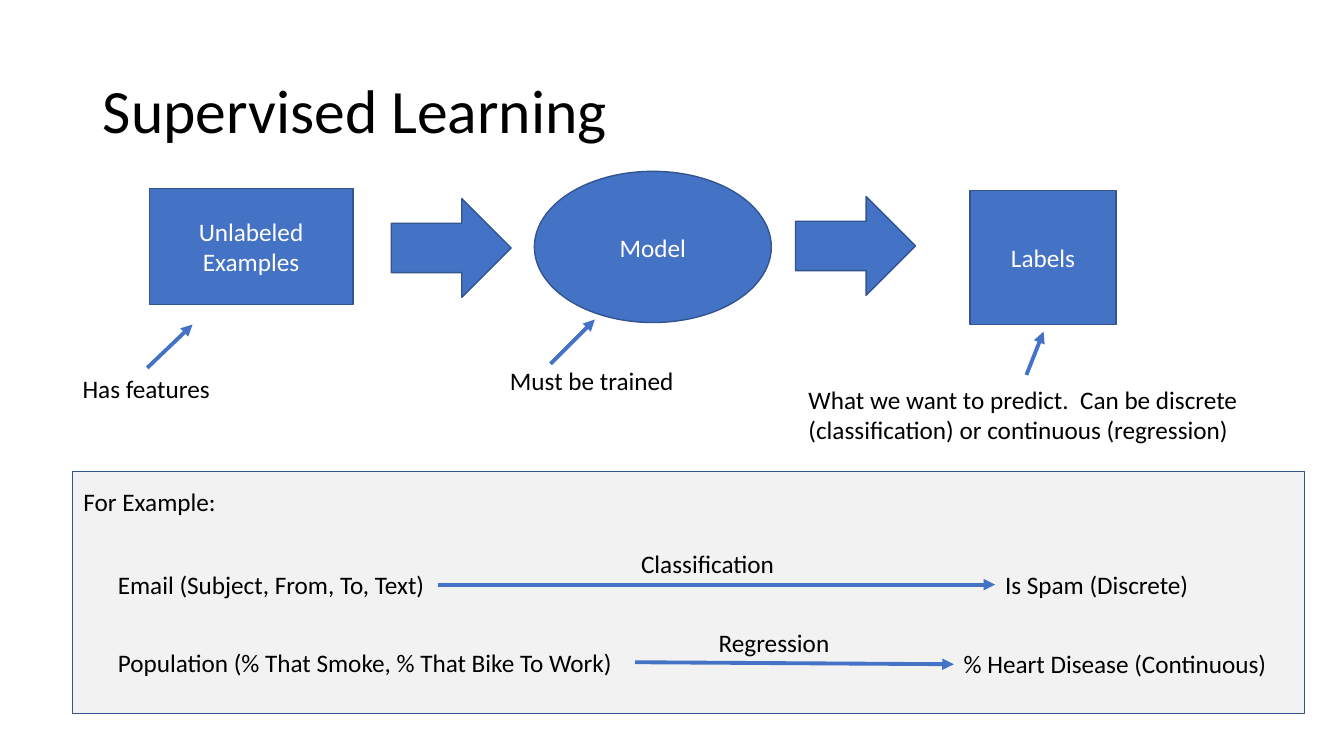
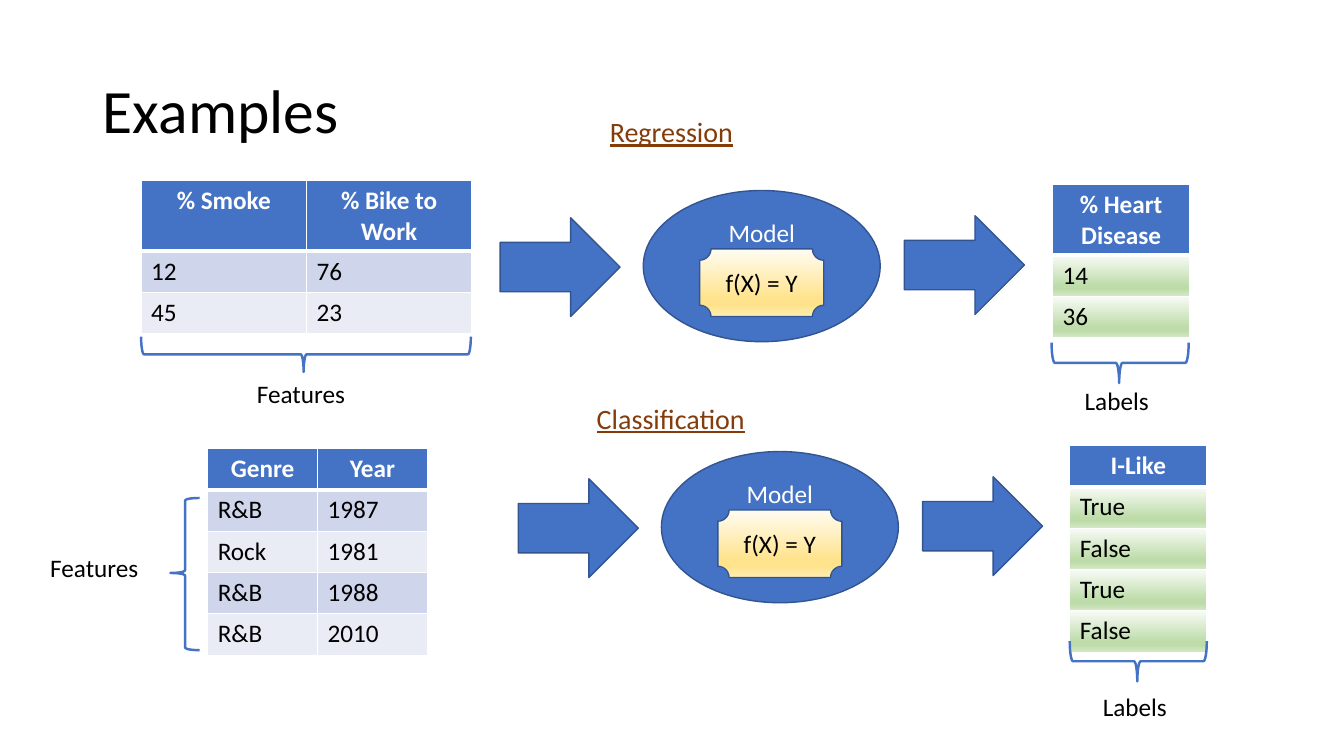
from lxml.etree import SubElement
from pptx import Presentation
from pptx.dml.color import RGBColor
from pptx.enum.shapes import MSO_CONNECTOR, MSO_SHAPE
from pptx.enum.text import MSO_ANCHOR, MSO_AUTO_SIZE, PP_ALIGN
from pptx.oxml.ns import qn
from pptx.util import Inches, Pt

BLUE = RGBColor(0x44, 0x72, 0xC4)
NAVY = RGBColor(0x32, 0x54, 0x91)
BROWN = RGBColor(0x84, 0x3C, 0x0B)
BLACK = RGBColor(0, 0, 0)
WHITE = RGBColor(0xFF, 0xFF, 0xFF)
PANEL = RGBColor(0xF2, 0xF2, 0xF2)
BANDS = (RGBColor(0xCF, 0xD5, 0xEA), RGBColor(0xE9, 0xEB, 0xF5))
STOPS = (0, 74, 83, 100)
GREEN = [RGBColor.from_string(code) for code in ("F8FBF6", "BEDCAA", "BEDCAA", "D4E8C6")]
GOLD = [RGBColor.from_string(code) for code in ("FFFCF2", "FFE38C", "FFE38C", "FFECB2")]

BODY = {"name": "Calibri", "size": Pt(18), "bold": False}
TITLE = {**BODY, "size": Pt(44)}
HEADING = {**BODY, "size": Pt(20), "underline": True}
HEADER = {**BODY, "bold": True}
ROW = 0.41
TALL_ROW = 0.7


def write(frame, text, color=BLACK, style=BODY, align=PP_ALIGN.LEFT):
    """Put one formatted paragraph into a text frame."""
    para = frame.paragraphs[0]
    para.alignment = align
    span = para.add_run()
    span.text = text
    for name, value in style.items():
        setattr(span.font, name, value)
    span.font.color.rgb = color


def paint(fill, element, color):
    """Fill with one colour, or with a top-down gradient for a list of colours."""
    if isinstance(color, RGBColor):
        fill.solid()
        fill.fore_color.rgb = color
        return
    fill.gradient()
    fill.gradient_angle = 270
    stops = next(element.iter(qn("a:gsLst")))
    for stop in list(stops):
        stops.remove(stop)
    for position, shade in zip(STOPS, color):
        stop = SubElement(stops, qn("a:gs"), pos=str(position * 1000))
        SubElement(stop, qn("a:srgbClr"), val=str(shade))


def add_page(deck, title):
    """Add a title-only slide with the shared title style."""
    page = deck.slides.add_slide(deck.slide_layouts[5])
    box = page.shapes.title
    place = {"left": 0.92, "top": 0.4, "width": 11.5, "height": 1.45}
    for name, value in place.items():
        setattr(box, name, Inches(value))
    frame = box.text_frame
    frame.vertical_anchor = MSO_ANCHOR.MIDDLE
    frame.auto_size = MSO_AUTO_SIZE.NONE
    write(frame, title, style=TITLE)
    frame.paragraphs[0].line_spacing = 0.9
    return page


def add_text(page, text, left, top, width, height=0.4, wrap=False, color=BLACK, style=BODY):
    """Add a text box that grows with its text."""
    box = page.shapes.add_textbox(*map(Inches, (left, top, width, height)))
    frame = box.text_frame
    frame.word_wrap = wrap
    frame.auto_size = MSO_AUTO_SIZE.SHAPE_TO_FIT_TEXT
    write(frame, text, color, style)


def add_block(page, kind, left, top, width, height, text="", fill=BLUE,
              color=WHITE, anchor=MSO_ANCHOR.MIDDLE):
    """Add a filled, outlined shape with optional centred text."""
    shape = page.shapes.add_shape(kind, *map(Inches, (left, top, width, height)))
    shape.shadow.inherit = False
    paint(shape.fill, shape.element, fill)
    shape.line.color.rgb = NAVY
    shape.line.width = Pt(1)
    shape.text_frame.vertical_anchor = anchor
    if text:
        write(shape.text_frame, text, color, align=PP_ALIGN.CENTER)


def add_arrow(page, start, end):
    """Draw a straight arrow between two points."""
    points = map(Inches, (*start, *end))
    arrow = page.shapes.add_connector(MSO_CONNECTOR.STRAIGHT, *points)
    arrow.line.color.rgb = BLUE
    arrow.line.width = Pt(2.75)
    SubElement(arrow.line._get_or_add_ln(), qn("a:tailEnd"), type="triangle")
    SubElement(arrow.element.spPr, qn("a:effectLst"))


def add_brace(page, left, top, width, height, rotation=0):
    """Add a brace; a rotation of 270 makes it point down."""
    brace = page.shapes.add_shape(
        MSO_SHAPE.LEFT_BRACE, *map(Inches, (left, top, width, height)))
    brace.rotation = rotation
    brace.shadow.inherit = False
    brace.fill.background()
    brace.line.color.rgb = BLUE
    brace.line.width = Pt(1.75)
    brace.adjustments[0] = 0.083
    brace.adjustments[1] = 0.493


def add_borders(cell, bottom):
    """Give a cell white borders, with its own bottom width in points."""
    properties = cell._tc.get_or_add_tcPr()
    for index, (side, points) in enumerate(
            (("lnL", 1), ("lnR", 1), ("lnT", 1), ("lnB", bottom))):
        line = SubElement(properties, qn(f"a:{side}"), w=str(Pt(points)))
        fill = SubElement(line, qn("a:solidFill"))
        SubElement(fill, qn("a:srgbClr"), val=str(WHITE))
        properties.insert(index, line)


def add_grid(page, rows, left, top, column, header=ROW, bands=BANDS):
    """Add a table with a blue header row and banded body rows."""
    count = len(rows[0])
    height = header + ROW * (len(rows) - 1)
    table = page.shapes.add_table(
        len(rows), count, *map(Inches, (left, top, column * count, height))).table
    for line in table.columns:
        line.width = Inches(column)
    for index, values in enumerate(rows):
        is_header = index == 0
        table.rows[index].height = Inches(header if is_header else ROW)
        for cell, text in zip(table.rows[index].cells, values):
            if is_header:
                paint(cell.fill, cell._tc, BLUE)
                write(cell.text_frame, text, WHITE, HEADER, PP_ALIGN.CENTER)
            else:
                paint(cell.fill, cell._tc, bands[(index - 1) % len(bands)])
                write(cell.text_frame, text)
            add_borders(cell, 3 if is_header else 1)


def add_model(page, left, top, formula=""):
    """Add the model ellipse between its two block arrows."""
    for across, down in ((-1.42, 0.27), (2.59, 0.25)):
        add_block(page, MSO_SHAPE.RIGHT_ARROW, left + across, top + down, 1.19, 0.98)
    anchor = MSO_ANCHOR.TOP if formula else MSO_ANCHOR.MIDDLE
    add_block(page, MSO_SHAPE.OVAL, left, top, 2.35, 1.5, "Model", anchor=anchor)
    if formula:
        add_block(page, MSO_SHAPE.PLAQUE, left + 0.56, top + 0.58, 1.23, 0.67,
                  formula, GOLD, BLACK)


def build_supervised(deck):
    """Build the overview of supervised learning."""
    page = add_page(deck, "Supervised Learning")
    add_block(page, MSO_SHAPE.RECTANGLE, 1.48, 1.87, 2.02, 1.15, "Unlabeled Examples")
    add_model(page, 5.3, 1.7)
    add_block(page, MSO_SHAPE.RECTANGLE, 9.62, 1.89, 1.45, 1.33, "Labels")
    add_block(page, MSO_SHAPE.RECTANGLE, 0.72, 4.68, 12.22, 2.4, fill=PANEL)
    for label in (
            ("Has features", 0.72, 3.65, 1.48),
            ("Must be trained", 4.96, 3.58, 1.84),
            ("What we want to predict.  Can be discrete (classification) "
             "or continuous (regression)", 7.92, 3.76, 4.52, 0.71, True),
            ("For Example:", 0.73, 4.78, 1.53),
            ("Email (Subject, From, To, Text)", 1.07, 5.6, 3.28),
            ("Classification", 6.26, 5.39, 1.54),
            ("Is Spam (Discrete)", 9.87, 5.6, 2.04),
            ("Population (% That Smoke, % That Bike To Work)", 1.07, 6.37, 5.24),
            ("Regression", 7.03, 6.17, 1.31),
            ("% Heart Disease (Continuous)", 9.46, 6.38, 3.24)):
        add_text(page, *label)
    for start, end in (
            ((1.46, 3.65), (1.91, 3.22)),
            ((5.46, 3.61), (5.9, 3.17)),
            ((10.18, 3.72), (10.35, 3.29)),
            ((4.34, 5.8), (9.87, 5.8)),
            ((6.3, 6.57), (9.46, 6.59))):
        add_arrow(page, start, end)


def build_examples(deck):
    """Build the regression and classification examples."""
    page = add_page(deck, "Examples")
    for text, left, top, width in (
            ("Regression", 5.95, 1.09, 1.44), ("Classification", 5.82, 3.93, 1.69)):
        add_text(page, text, left, top, width, 0.44, color=BROWN, style=HEADING)
    for left, top in ((6.38, 1.89), (6.56, 4.48)):
        add_model(page, left, top, "f(X) = Y")

    habits = (("% Smoke", "% Bike to Work"), ("12", "76"), ("45", "23"))
    disease = (("% Heart Disease",), ("14",), ("36",))
    songs = (("Genre", "Year"), ("R&B", "1987"), ("Rock", "1981"),
             ("R&B", "1988"), ("R&B", "2010"))
    likes = (("I-Like",), ("True",), ("False",), ("True",), ("False",))
    add_grid(page, habits, 1.4, 1.79, 1.64, TALL_ROW)
    add_grid(page, disease, 10.44, 1.83, 1.36, TALL_ROW, [GREEN])
    add_grid(page, songs, 2.06, 4.45, 1.09)
    add_grid(page, likes, 10.61, 4.42, 1.36, bands=[GREEN])

    for brace in ((2.86, 1.88, 0.35, 3.27, 270), (1.69, 4.94, 0.29, 1.51),
                  (10.91, 2.92, 0.4, 1.36, 270), (11.09, 5.88, 0.4, 1.36, 270)):
        add_brace(page, *brace)
    for text, left, top in (("Features", 2.45, 3.7), ("Features", 0.4, 5.43),
                            ("Labels", 10.66, 3.77), ("Labels", 10.84, 6.81)):
        add_text(page, text, left, top, 1.13, wrap=True)


def main():
    """Build and save the deck."""
    deck = Presentation()
    deck.slide_width = Inches(13.33)
    deck.slide_height = Inches(7.5)
    build_supervised(deck)
    build_examples(deck)
    deck.save("out.pptx")


main()
